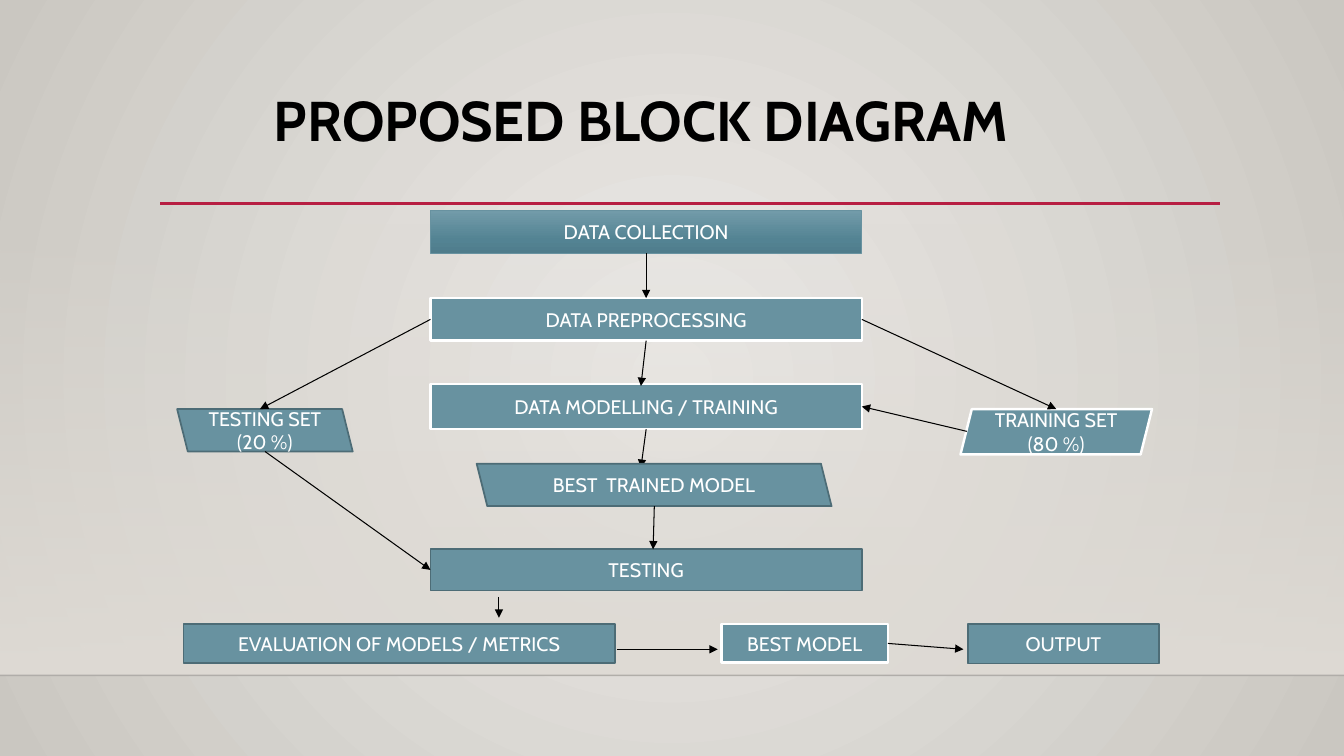
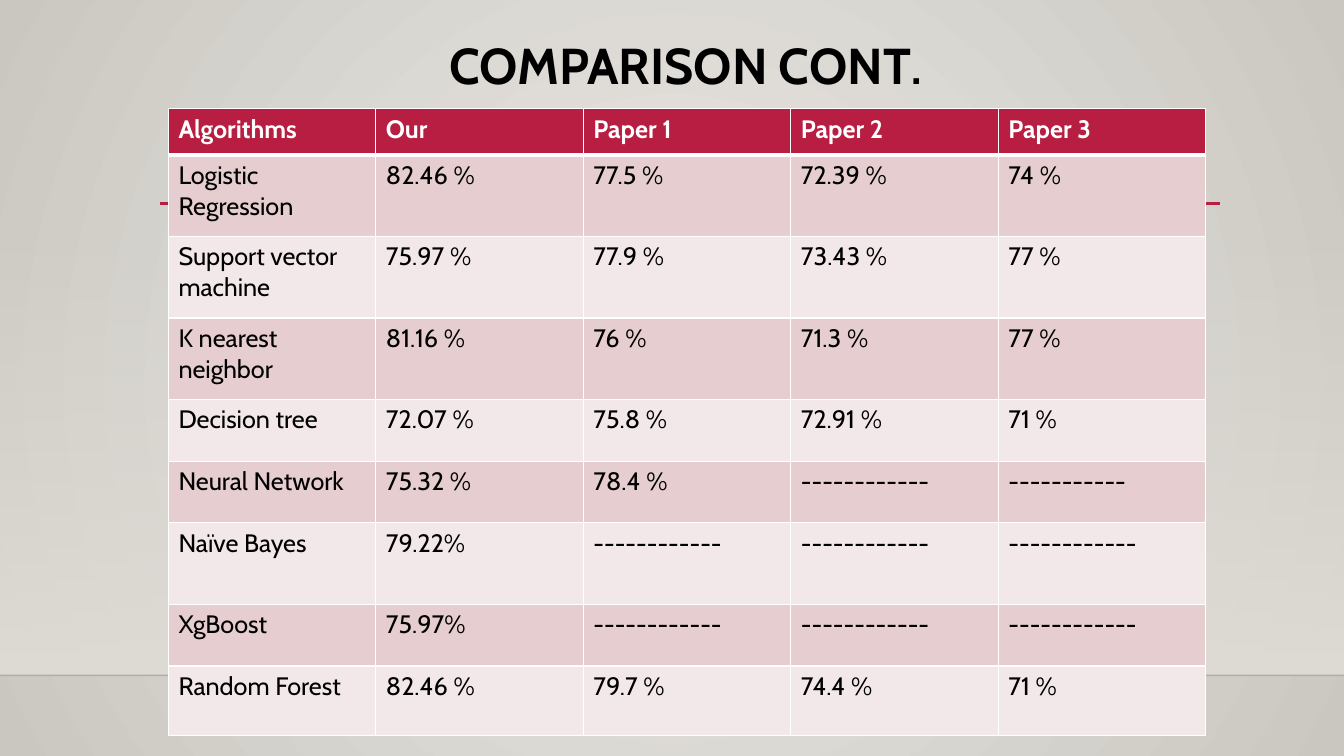
from lxml import etree
from pptx import Presentation
from pptx import util as u
from pptx.dml import color
from pptx.enum import shapes, text
from pptx.oxml import ns

COLUMNS, ROWS = 32, 18
CELL = 7.5 / ROWS
FONT = "Cabin"
COLORS = {
    "black": "000000", "white": "FFFFFF", "rule": "B71E42", "floor": "000001",
    "glow": "ECEAE7", "edge": "CAC7C1", "wall": "DFDBD5",
    "teal": "6892A0", "teal_dark": "4D6C76",
    "sheen_top": "729BA9", "sheen_mid": "538393", "sheen_low": "4F7C8B",
    "band_dark": "E6CDCF", "band_light": "F3E8E9",
}
RECT = shapes.MSO_SHAPE.RECTANGLE
SLANT = shapes.MSO_SHAPE.PARALLELOGRAM
TOP, LEFT, BOTTOM, RIGHT = range(4)
DASHES = "-" * 12


def grid(*cells):
    return [u.Inches(cell * CELL) for cell in cells]


def rgb(name):
    return color.RGBColor.from_string(COLORS[name])


def add_xml(parent, tag, **attributes):
    return etree.SubElement(parent, ns.qn(tag), attributes)


def add_alpha(element, percent):
    for tone in element.iter(ns.qn("a:srgbClr")):
        add_xml(tone, "a:alpha", val=str(percent * 1000))


def paint_gradient(owner, fill, stops, angle=None):
    fill.gradient()
    gradient = next(owner.iter(ns.qn("a:gradFill")))
    gradient.clear()
    stop_list = add_xml(gradient, "a:gsLst")
    for position, name, opacity in stops:
        stop = add_xml(stop_list, "a:gs", pos=str(position * 1000))
        add_xml(stop, "a:srgbClr", val=COLORS[name])
        if opacity < 100:
            add_alpha(stop, opacity)
    if angle is None:
        circle = add_xml(gradient, "a:path", path="circle")
        add_xml(circle, "a:fillToRect", l="50000", t="50000", r="50000", b="50000")
    else:
        add_xml(gradient, "a:lin", ang=str(angle * 60000), scaled="0")


def style_runs(para, size, name, bold=False):
    for span in para.runs:
        span.font.name = FONT
        span.font.size = u.Pt(size)
        span.font.bold = bold
        span.font.color.rgb = rgb(name)


def add_line(page, start, end, name="black", width=0.75):
    line = page.shapes.add_connector(shapes.MSO_CONNECTOR.STRAIGHT, *grid(*start, *end))
    line.line.color.rgb = rgb(name)
    line.line.width = u.Pt(width)
    add_xml(line.element.spPr, "a:effectLst")
    return line


def add_arrow(page, start, end):
    begin_box, begin_side = start if not isinstance(start[0], (int, float)) else (None, 0)
    end_box, end_side = end if not isinstance(end[0], (int, float)) else (None, 0)
    arrow = add_line(page, (0, 0) if begin_box else start, (0, 0) if end_box else end)
    if begin_box:
        arrow.begin_connect(begin_box, begin_side)
    if end_box:
        arrow.end_connect(end_box, end_side)
    add_xml(arrow.line._get_or_add_ln(), "a:tailEnd", type="triangle")


def add_box(page, label, place, outline="teal_dark", width=1.25, kind=RECT, flip=False):
    box = page.shapes.add_shape(kind, *grid(*place))
    box.shadow.inherit = False
    box.fill.solid()
    box.fill.fore_color.rgb = rgb("teal")
    box.line.color.rgb = rgb(outline)
    box.line.width = u.Pt(width)
    if flip:
        box.element.spPr.xfrm.set("flipH", "1")
    box.text_frame.word_wrap = True
    box.text_frame.text = label
    para = box.text_frame.paragraphs[0]
    para.alignment = text.PP_ALIGN.CENTER
    style_runs(para, 14, "white")
    return box


def add_title(page, title, place, size):
    box = page.shapes.add_textbox(*grid(*place))
    box.text_frame.word_wrap = True
    box.text_frame.text = title
    para = box.text_frame.paragraphs[0]
    para.alignment = text.PP_ALIGN.CENTER
    para.line_spacing = 0.9
    style_runs(para, size, "black", True)
    return para


def add_page(deck):
    page = deck.slides.add_slide(deck.slide_layouts[6])
    wall = page.shapes.add_shape(RECT, *grid(0, 5.3, COLUMNS, 10.78))
    wall.shadow.inherit = False
    wall.line.fill.background()
    paint_gradient(wall.element.spPr, wall.fill,
                   [(0, "wall", 0), (100, "wall", 100)], 90)
    floor = add_line(page, (0, 16.08), (COLUMNS, 16.08), "floor", 1)
    add_alpha(floor.element.spPr, 20)
    add_line(page, (3.82, 4.85), (29.04, 4.85), "rule", 2.5)
    return page


def set_borders(cell, top=1, bottom=1):
    properties = cell._tc.get_or_add_tcPr()
    widths = {"a:lnL": 1, "a:lnR": 1, "a:lnT": top, "a:lnB": bottom}
    for index, (tag, width) in enumerate(widths.items()):
        border = etree.Element(ns.qn(tag), w=str(u.Pt(width)))
        add_xml(add_xml(border, "a:solidFill"), "a:srgbClr", val=COLORS["white"])
        properties.insert(index, border)


def add_grid_table(page, rows, left, top, column, heights):
    frame = page.shapes.add_table(len(rows), len(rows[0]),
                                  *grid(left, top, column * len(rows[0]), sum(heights)))
    table = frame.table
    for table_column in table.columns:
        table_column.width = grid(column)[0]
    for row, (values, height) in enumerate(zip(rows, heights)):
        table.rows[row].height = grid(height)[0]
        header = row == 0
        band = "rule" if header else ("band_light", "band_dark")[row % 2]
        for index, value in enumerate(values):
            cell = table.cell(row, index)
            cell.text_frame.text = value
            style_runs(cell.text_frame.paragraphs[0], 18,
                       "white" if header else "black", header)
            cell.fill.solid()
            cell.fill.fore_color.rgb = rgb(band)
            set_borders(cell, 3 if row == 1 else 1, 3 if header else 1)


def build_diagram(deck):
    page = add_page(deck)
    add_title(page, "PROPOSED BLOCK DIAGRAM", (2.66, 2.11, 25.2, 2.14), 40)
    left, wide, tall = 10.25, 10.27, 1.01
    bright = {"outline": "white", "width": 1.75}
    collection = add_box(page, "DATA COLLECTION", (left, 5.02, wide, tall), "teal", 0.75)
    paint_gradient(collection.element.spPr, collection.fill,
                   [(0, "sheen_top", 100), (69, "sheen_mid", 100),
                    (100, "sheen_low", 100)], 90)
    preprocessing = add_box(page, "DATA PREPROCESSING", (left, 7.1, wide, tall), **bright)
    modelling = add_box(page, "DATA MODELLING / TRAINING", (left, 9.14, wide, 1.08), **bright)
    add_arrow(page, (preprocessing, BOTTOM), (15.26, 9.19))
    add_arrow(page, (modelling, BOTTOM), (15.26, 11.14))
    testing = add_box(page, "TESTING", (left, 13.08, wide, 0.98))
    add_box(page, "EVALUATION OF MODELS / METRICS", (4.37, 14.86, wide, 0.92))
    add_box(page, "TRAINING SET (80 %)", (22.87, 9.74, 4.56, 1.08), kind=SLANT, **bright)
    add_box(page, "TESTING SET (20 %)", (4.22, 9.74, 4.18, tall), kind=SLANT, flip=True)
    add_box(page, "BEST  TRAINED MODEL", (11.35, 11.04, 8.45, tall), kind=SLANT, flip=True)
    best = add_box(page, "BEST MODEL", (17.18, 14.86, 3.96, 0.92), **bright)
    add_box(page, "OUTPUT", (23.04, 14.86, 4.56, 0.94))
    for start, end in [
        ((collection, BOTTOM), (preprocessing, TOP)),
        ((preprocessing, LEFT), (6.19, 9.74)),
        ((preprocessing, RIGHT), (25.15, 9.74)),
        ((23.02, 10.27), (modelling, RIGHT)),
        ((6.31, 10.75), (testing, LEFT)),
        ((15.58, 12.05), (15.55, 13.08)),
        ((11.88, 14.21), (11.88, 14.71)),
        ((14.69, 15.46), (17.09, 15.46)),
        ((best, RIGHT), (22.94, 15.46)),
    ]:
        add_arrow(page, start, end)


def build_comparison(deck):
    page = add_page(deck)
    para = add_title(page, "COMPARISON CONT", (3.72, 0.86, 25.2, 2.76), 36)
    para.add_run().text = "."
    style_runs(para, 36, "black", True)
    para.runs[-1].font.size = u.Pt(32)
    rows = [
        ("Algorithms", "Our", "Paper 1", "Paper 2", "Paper 3"),
        ("Logistic Regression", "82.46 %", "77.5 %", "72.39 %", "74 %"),
        ("Support vector machine", "75.97 %", "77.9 %", "73.43 %", "77 %"),
        ("K nearest neighbor", "81.16 %", "76 %", "71.3 %", "77 %"),
        ("Decision tree", "72.07 %", "75.8 %", "72.91 %", "71 %"),
        ("Neural Network", "75.32 %", "78.4 %", DASHES, DASHES[1:]),
        ("Naïve Bayes", "79.22%", DASHES, DASHES, DASHES),
        ("XgBoost", "75.97%", DASHES, DASHES, DASHES),
        ("Random Forest", "82.46 %", "79.7 %", "74.4 %", "71 %"),
    ]
    short, high = 1.47, 1.94
    heights = [1.1, high, high, high, short, short, high, short, 1.66]
    add_grid_table(page, rows, 4.01, 2.59, 4.94, heights)


def main():
    deck = Presentation()
    deck.slide_width, deck.slide_height = grid(COLUMNS, ROWS)
    master = deck.slide_master
    paint_gradient(master.element, master.background.fill,
                   [(0, "glow", 100), (100, "edge", 100)])
    build_diagram(deck)
    build_comparison(deck)
    deck.save("out.pptx")


if __name__ == "__main__":
    main()
